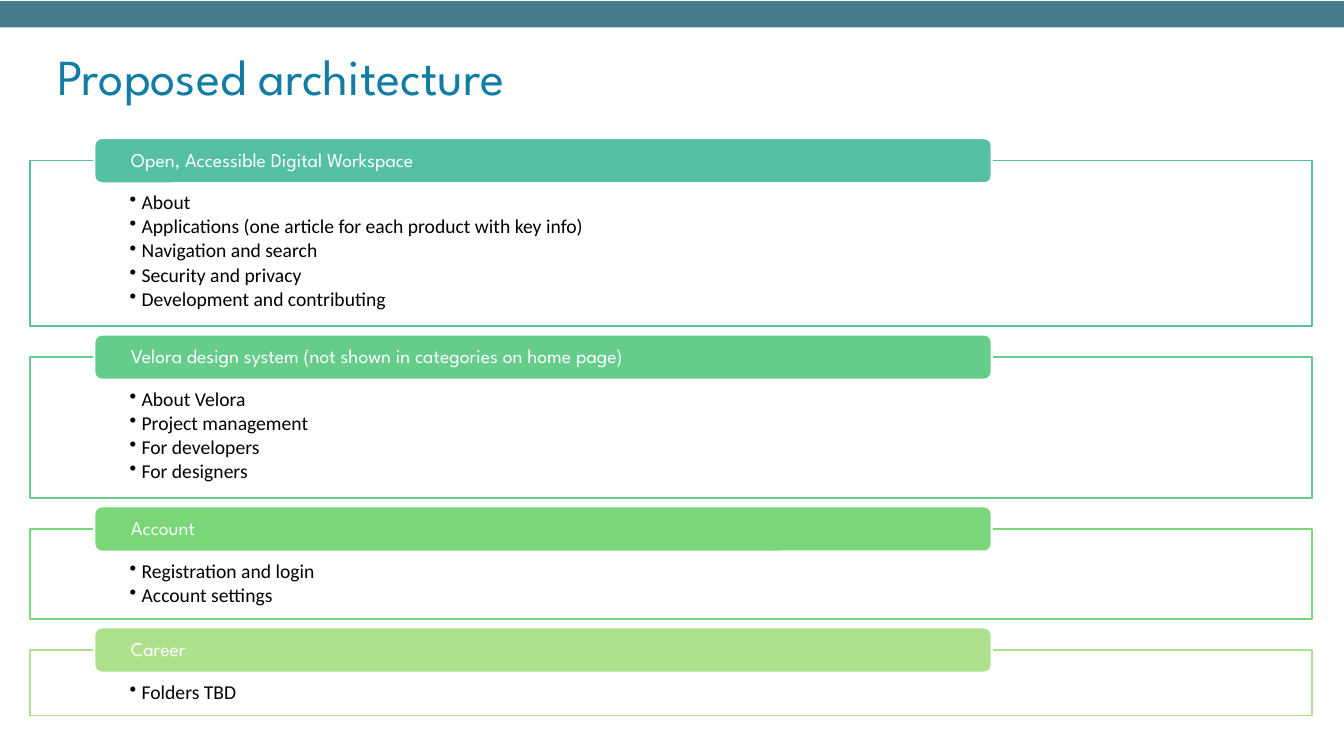
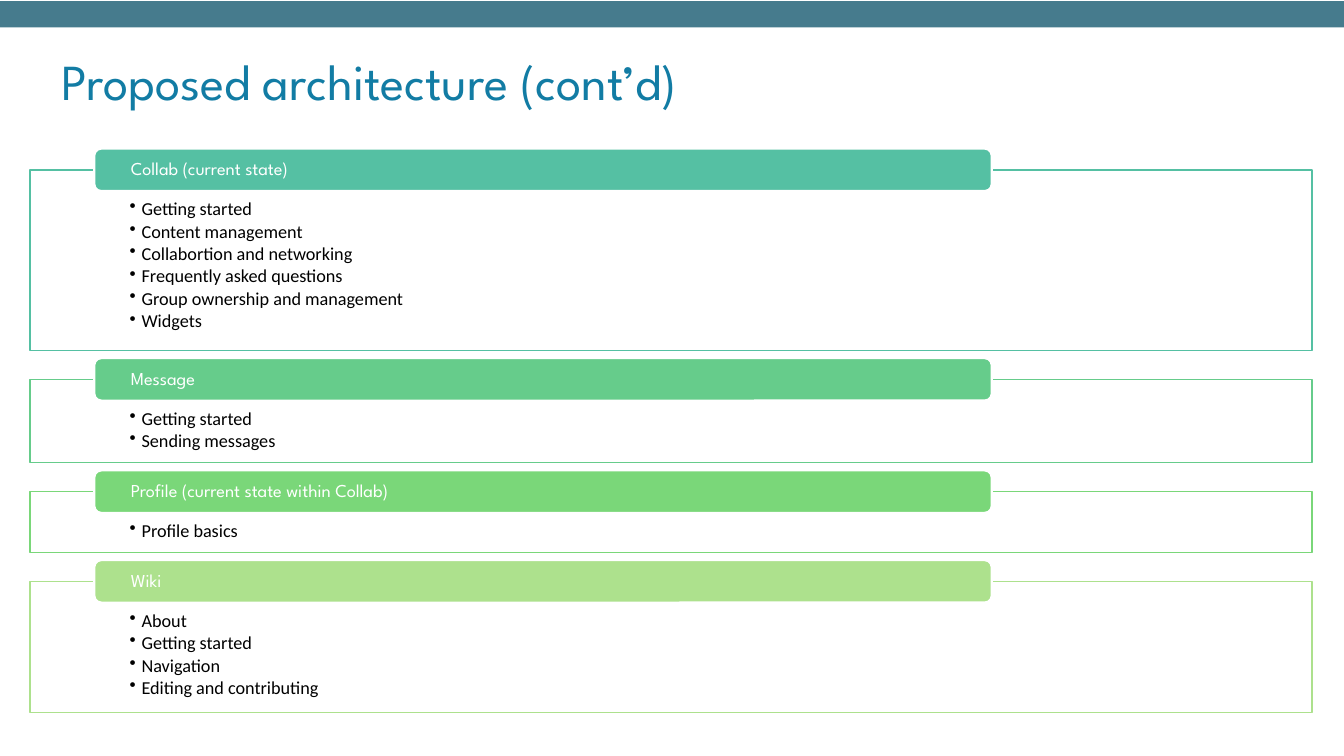
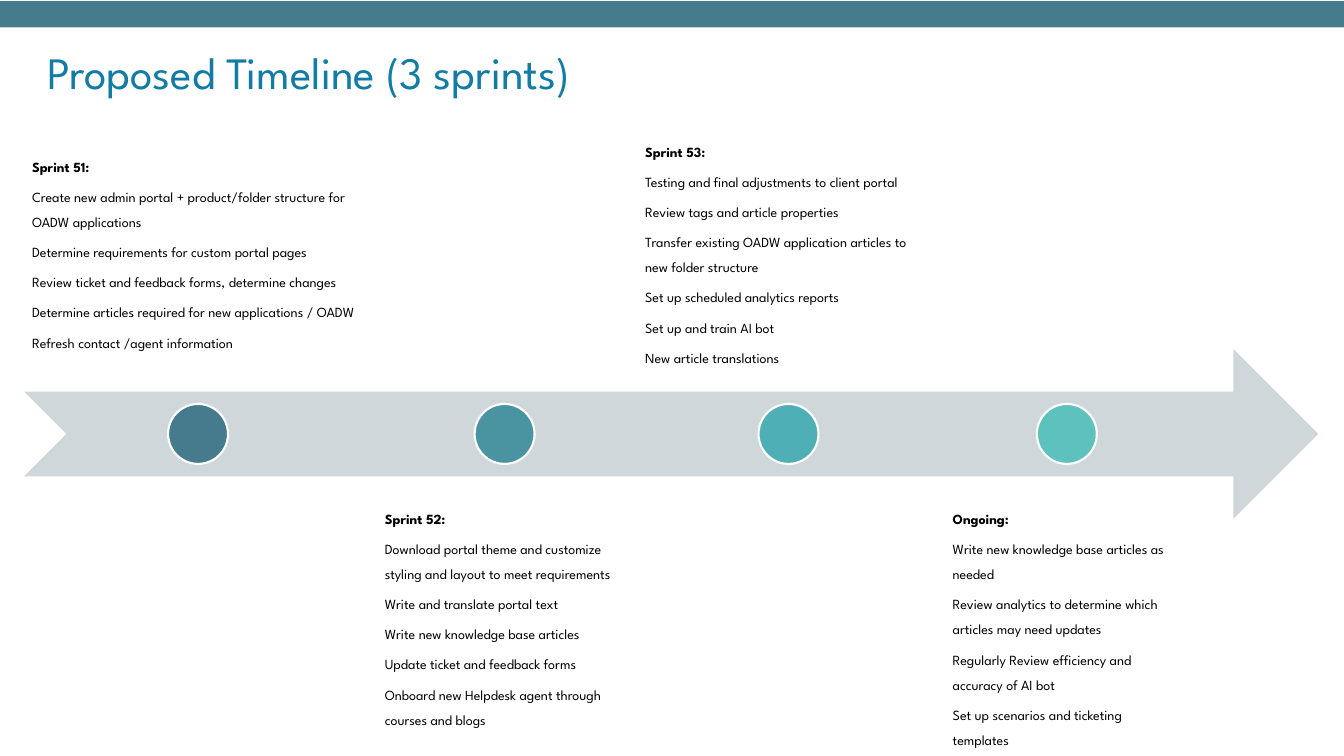
from pptx import Presentation
from pptx.dml.color import RGBColor
from pptx.enum.shapes import MSO_SHAPE
from pptx.enum.text import MSO_ANCHOR, PP_ALIGN
from pptx.oxml.ns import qn
from pptx.util import Cm, Pt
from lxml.etree import SubElement

WHITE = RGBColor(0xFF, 0xFF, 0xFF)
BLACK = RGBColor(0x00, 0x00, 0x00)
TITLE_BLUE = RGBColor(0x12, 0x7C, 0xA4)
BAND_TEAL = RGBColor(0x46, 0x7B, 0x8D)
ARROW_GREY = RGBColor(0xCF, 0xD7, 0xDB)
SECTION_COLORS = (
    RGBColor(0x55, 0xC0, 0xA3),
    RGBColor(0x66, 0xCC, 0x8B),
    RGBColor(0x7A, 0xD7, 0x79),
    RGBColor(0xAD, 0xE1, 0x8D),
)
DOT_COLORS = (
    BAND_TEAL,
    RGBColor(0x4A, 0x94, 0xA2),
    RGBColor(0x4F, 0xAF, 0xB6),
    RGBColor(0x5D, 0xC1, 0xBE),
)
HEADING_FONT = "League Spartan"
BODY_FONT = "Calibri"
SLIDE_WIDTH = 33.87
SLIDE_HEIGHT = 19.05

CORE_SECTIONS = (
    (4.17, "Open, Accessible Digital Workspace", (
        "About",
        "Applications (one article for each product with key info)",
        "Navigation and search",
        "Security and privacy",
        "Development and contributing",
    )),
    (3.55, "Velora design system (not shown in categories on home page)", (
        "About Velora",
        "Project management",
        "For developers",
        "For designers",
    )),
    (2.27, "Account", ("Registration and login", "Account settings")),
    (1.65, "Career", ("Folders TBD",)),
)
COLLAB_SECTIONS = (
    (4.55, "Collab (current state)", (
        "Getting started",
        "Content management",
        "Collabortion and networking",
        "Frequently asked questions",
        "Group ownership and management",
        "Widgets",
    )),
    (2.1, "Message", ("Getting started", "Sending messages")),
    (1.53, "Profile (current state within Collab)", ("Profile basics",)),
    (3.3, "Wiki", (
        "About",
        "Getting started",
        "Navigation",
        "Editing and contributing",
    )),
)
MILESTONES = (
    (8.76, 0.38, "Sprint 51:", (
        "Create new admin portal + product/folder structure for OADW applications",
        "Determine requirements for custom portal pages",
        "Review ticket and feedback forms, determine changes",
        "Determine articles required for new applications / OADW",
        "Refresh contact /agent information",
    )),
    (6.43, 0, "Sprint 52:", (
        "Download portal theme and customize styling and layout to meet requirements",
        "Write and translate portal text",
        "Write new knowledge base articles",
        "Update ticket and feedback forms",
        "Onboard new Helpdesk agent through courses and blogs",
    )),
    (7.62, 0, "Sprint 53:", (
        "Testing and final adjustments to client portal",
        "Review tags and article properties",
        "Transfer existing OADW application articles to new folder structure",
        "Set up scheduled analytics reports",
        "Set up and train AI bot",
        "New article translations",
    )),
    (6.15, 0, "Ongoing:", (
        "Write new knowledge base articles as needed",
        "Review analytics to determine which articles may need updates",
        "Regularly Review efficiency and accuracy of AI bot",
        "Set up scenarios and ticketing templates",
    )),
)


def write_para(frame, text, *, size, color=BLACK, font=HEADING_FONT, bold=False,
               line=0.9, after=0.0, bullet=False):
    """Add one formatted paragraph, filling the first one while it is empty."""
    first = frame.paragraphs[0]
    para = frame.add_paragraph() if first.runs else first
    para.alignment = PP_ALIGN.LEFT
    para.line_spacing = line
    para.space_after = Pt(size * after)
    span = para.add_run()
    span.text = text
    span.font.size = Pt(size)
    span.font.name = font
    span.font.bold = bold
    span.font.color.rgb = color
    if bullet:
        properties = para._p.get_or_add_pPr()
        properties.set("marL", str(Cm(0.3)))
        properties.set("indent", str(-Cm(0.3)))
        SubElement(properties, qn("a:buChar")).set("char", "•")


def set_frame(shape, anchor, insets):
    """Make the text frame wrap, with an anchor and left, top, right, bottom insets."""
    frame = shape.text_frame
    frame.word_wrap = True
    frame.vertical_anchor = anchor
    (frame.margin_left, frame.margin_top,
     frame.margin_right, frame.margin_bottom) = map(Cm, insets)
    return frame


def add_block(page, kind, box, fill, line=None, weight=1.0):
    """Draw a flat preset shape in a box of left, top, width, height."""
    shape = page.shapes.add_shape(kind, *map(Cm, box))
    shape.shadow.inherit = False
    shape.fill.solid()
    shape.fill.fore_color.rgb = fill
    if line is None:
        shape.line.fill.background()
    else:
        shape.line.color.rgb = line
        shape.line.width = Pt(weight)
    return shape


def add_page(deck, title, title_box, title_size):
    """Add a blank slide with the top band and its title."""
    page = deck.slides.add_slide(deck.slide_layouts[6])
    add_block(page, MSO_SHAPE.RECTANGLE, (0, 0.03, SLIDE_WIDTH, 0.66), BAND_TEAL)
    holder = page.shapes.add_textbox(*map(Cm, title_box))
    frame = set_frame(holder, MSO_ANCHOR.MIDDLE, (0.25, 0.13, 0.25, 0.13))
    write_para(frame, title, size=title_size, color=TITLE_BLUE)
    return page


def add_section(page, box, color, label, items, size, label_height):
    """Draw an outlined list with its label straddling the top edge."""
    left, top, width, _ = box
    panel = add_block(page, MSO_SHAPE.RECTANGLE, box, WHITE, color)
    frame = set_frame(panel, MSO_ANCHOR.TOP, (2.51, label_height * 0.71, 2.51, 0.27))
    for item in items:
        write_para(frame, item, size=size, font=BODY_FONT, after=0.15, bullet=True)
    label_box = (left + width * 0.05, top - label_height / 2, width * 0.7, label_height)
    tab = add_block(page, MSO_SHAPE.ROUNDED_RECTANGLE, label_box, color, WHITE, 1.5)
    frame = set_frame(tab, MSO_ANCHOR.MIDDLE, (0.87, 0, 0.87, 0))
    write_para(frame, label, size=size, color=WHITE)


def add_sections(page, left, top, width, sections, *, gap, size, label_height):
    """Stack the sections downwards with equal gaps."""
    for color, (height, label, items) in zip(SECTION_COLORS, sections):
        add_section(page, (left, top, width, height), color, label, items,
                    size, label_height)
        top += height + gap


def add_timeline(page, box, milestones, gap=0.13):
    """Draw an arrow with milestones alternating above and below it."""
    left, top, width, height = box
    middle = top + height / 2
    arrow_height, text_height, dot = 4.27, height * 0.4, height * 0.1
    add_block(page, MSO_SHAPE.NOTCHED_RIGHT_ARROW,
              (left, middle - arrow_height / 2, width, arrow_height), ARROW_GREY)
    for index, (column, lift, heading, tasks) in enumerate(milestones):
        above = index % 2 == 0
        text_top = top - lift if above else top + height - text_height
        holder = page.shapes.add_textbox(
            *map(Cm, (left, text_top, column, text_height)))
        anchor = MSO_ANCHOR.BOTTOM if above else MSO_ANCHOR.TOP
        frame = set_frame(holder, anchor, (0.2, 0.2, 0.2, 0.2))
        for text in (heading, *tasks):
            write_para(frame, text, size=10, bold=text == heading, line=1.5, after=0.35)
        dot_box = (left + (column - dot) / 2, middle - dot / 2, dot, dot)
        add_block(page, MSO_SHAPE.OVAL, dot_box, DOT_COLORS[index], WHITE, 1.5)
        left += column + gap


def main():
    """Build and save the deck."""
    deck = Presentation()
    deck.slide_width = Cm(SLIDE_WIDTH)
    deck.slide_height = Cm(SLIDE_HEIGHT)

    page = add_page(deck, "Proposed architecture", (1.19, 0.2, 25.68, 3.58), 36)
    add_sections(page, 0.76, 4.05, 32.31, CORE_SECTIONS,
                 gap=0.78, size=14, label_height=1.14)

    page = add_page(deck, "Proposed architecture (cont’d)", (1.3, 0.33, 25.68, 3.58), 36)
    add_sections(page, 0.76, 4.28, 32.31, COLLAB_SECTIONS,
                 gap=0.73, size=13, label_height=1.07)

    page = add_page(deck, "Proposed Timeline (3 sprints)", (0.94, 0.64, 25.68, 2.49), 32)
    add_timeline(page, (0.61, 3.38, 32.61, 15.11), MILESTONES)

    deck.save("out.pptx")


if __name__ == "__main__":
    main()
